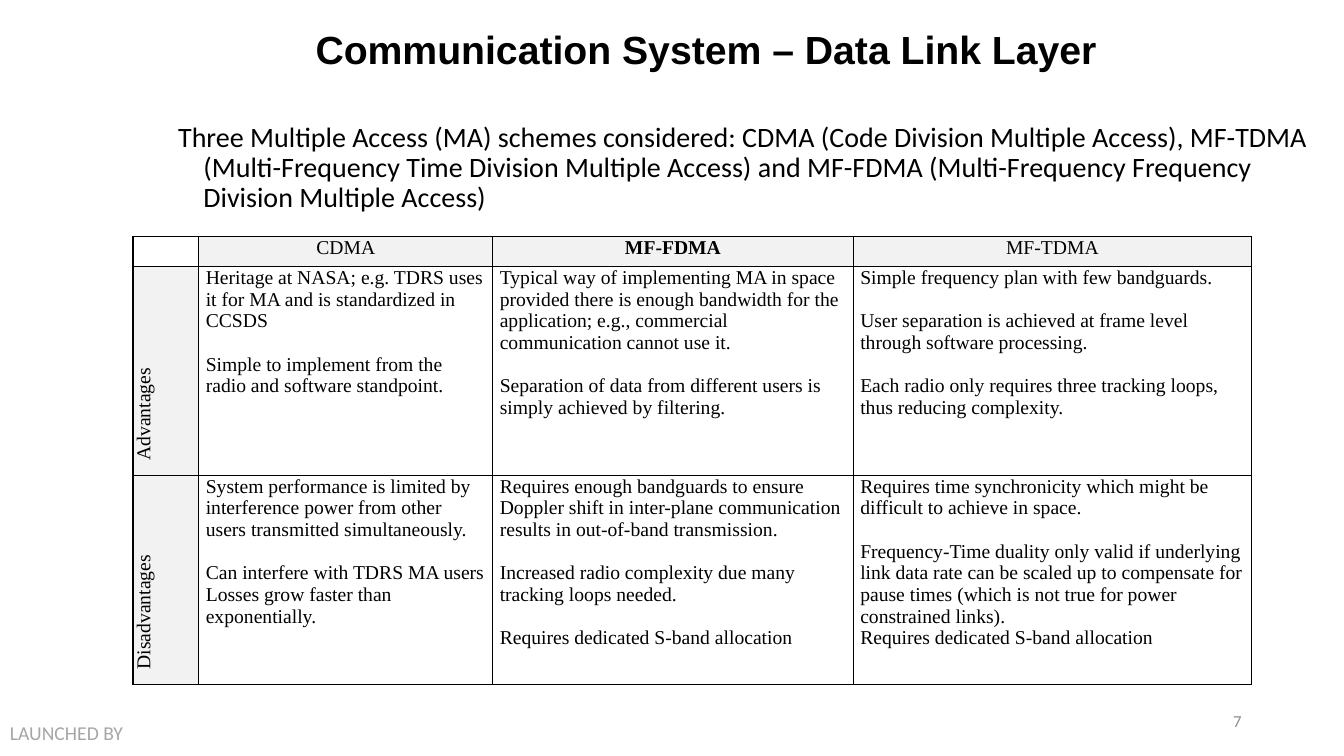
"""Build the data link layer slide comparing three multiple access schemes."""
from lxml import etree
from pptx import Presentation
from pptx import util as u
from pptx.dml.color import RGBColor
from pptx.enum import text
from pptx.oxml import ns

THEME = {
    "ink": "000000", "footer": "A6A6A6", "number": "8C8C8C", "label": "F2F2F2",
    "title_font": "Arial", "body_font": "Calibri", "table_font": "Times New Roman",
    "title": 28, "body": 20, "small": 14, "number_size": 12,
}
TITLE = "Communication System – Data Link Layer"
INTRO = ("Three Multiple Access (MA) schemes considered: CDMA (Code Division Multiple Access), "
         "MF-TDMA (Multi-Frequency Time Division Multiple Access) and MF-FDMA "
         "(Multi-Frequency Frequency Division Multiple Access)")
FOOTER = "LAUNCHED BY"
NUMBER = "7"
SCHEMES = ["CDMA", "MF-FDMA", "MF-TDMA"]
PREFERRED = "MF-FDMA"
# Each cell is a list of groups; a gap separates groups.
ROWS = {
    "Advantages": [
        [["Heritage at NASA; e.g. TDRS uses it for MA and is standardized in CCSDS"],
         ["Simple to implement from the radio and software standpoint."]],
        [["Typical way of implementing MA in space provided there is enough bandwidth for the "
          "application; e.g., commercial communication cannot use it."],
         ["Separation of data from different users is simply achieved by filtering."]],
        [["Simple frequency plan with few bandguards."],
         ["User separation is achieved at frame level through software processing."],
         ["Each radio only requires three tracking loops, thus reducing complexity."]],
    ],
    "Disadvantages": [
        [["System performance is limited by interference power from other users "
          "transmitted simultaneously."],
         ["Can interfere with TDRS MA users", "Losses grow faster than exponentially."]],
        [["Requires enough bandguards to ensure Doppler shift in inter-plane communication "
          "results in out-of-band transmission."],
         ["Increased radio complexity due many tracking loops needed."],
         ["Requires dedicated S-band allocation"]],
        [["Requires time synchronicity which might be difficult to achieve in space."],
         ["Frequency-Time duality only valid if underlying link data rate can be scaled up to "
          "compensate for pause times (which is not true for power constrained links).",
          "Requires dedicated S-band allocation"]],
    ],
}
TABLE_LEFT, TABLE_TOP = 95, 169
COLUMNS = [47, 210, 257.5, 284.5]
HEADER_HEIGHT, ROW_HEIGHT = 18.7, 149.2
GROUP_GAP = 15.5
CELL_INSET = 5.04
LABEL_INDENT = 5.76
HANG = 18
ALIGN = text.PP_ALIGN


def add_span(para, words, font, size, color="ink", bold=False):
    span = para.add_run()
    span.text = words
    span.font.name = THEME[font]
    span.font.size = u.Pt(THEME[size])
    span.font.bold = bold
    span.font.color.rgb = RGBColor.from_string(THEME[color])


def indent(para, left, first=0):
    properties = para._p.get_or_add_pPr()
    properties.set("marL", str(u.Pt(left)))
    properties.set("indent", str(u.Pt(first)))


def add_box(page, bounds, words, font, size, color="ink", bold=False,
            align=ALIGN.LEFT, anchor=text.MSO_ANCHOR.TOP, spacing=None):
    box = page.shapes.add_textbox(*map(u.Pt, bounds))
    box.text_frame.word_wrap = True
    box.text_frame.vertical_anchor = anchor
    para = box.text_frame.paragraphs[0]
    para.alignment = align
    para.line_spacing = spacing
    add_span(para, words, font, size, color, bold)
    return para


def style_cell(cell, shaded):
    cell.margin_left = cell.margin_right = u.Pt(CELL_INSET)
    cell.margin_top = cell.margin_bottom = 0
    if shaded:
        cell.fill.solid()
        cell.fill.fore_color.rgb = RGBColor.from_string(THEME["label"])
    else:
        cell.fill.background()
    properties = cell._tc.get_or_add_tcPr()
    for place, side in enumerate(("lnL", "lnR", "lnT", "lnB")):
        line = etree.Element(ns.qn("a:" + side), w=str(u.Pt(1)))
        fill = etree.SubElement(line, ns.qn("a:solidFill"))
        etree.SubElement(fill, ns.qn("a:srgbClr"), val=THEME["ink"])
        properties.insert(place, line)


def write_cell(cell, groups, align=ALIGN.LEFT, bold=False):
    lines = [(words, GROUP_GAP if g and not i else 0)
             for g, group in enumerate(groups) for i, words in enumerate(group)]
    for i, (words, gap) in enumerate(lines):
        para = cell.text_frame.add_paragraph() if i else cell.text_frame.paragraphs[0]
        para.alignment = align
        if gap:
            para.space_before = u.Pt(gap)
        add_span(para, words, "table_font", "small", bold=bold)


def add_comparison(page):
    heights = [HEADER_HEIGHT] + [ROW_HEIGHT] * len(ROWS)
    frame = page.shapes.add_table(len(heights), len(COLUMNS), u.Pt(TABLE_LEFT), u.Pt(TABLE_TOP),
                                  u.Pt(sum(COLUMNS)), u.Pt(sum(heights)))
    table = frame.table
    table.first_row = table.horz_banding = False
    for column, width in zip(table.columns, COLUMNS):
        column.width = u.Pt(width)
    for row, height in zip(table.rows, heights):
        row.height = u.Pt(height)
    for r in range(len(heights)):
        for c in range(len(COLUMNS)):
            style_cell(table.cell(r, c), (r == 0) != (c == 0))
    for c, scheme in enumerate(SCHEMES, 1):
        write_cell(table.cell(0, c), [[scheme]], ALIGN.CENTER, scheme == PREFERRED)
    for r, (label, cells) in enumerate(ROWS.items(), 1):
        side = table.cell(r, 0)
        side._tc.get_or_add_tcPr().set("vert", "vert270")
        write_cell(side, [[label]], ALIGN.JUSTIFY)
        indent(side.text_frame.paragraphs[0], LABEL_INDENT)
        for c, groups in enumerate(cells, 1):
            write_cell(table.cell(r, c), groups)


def main():
    deck = Presentation()
    deck.slide_width, deck.slide_height = u.Pt(960), u.Pt(540)
    page = deck.slides.add_slide(deck.slide_layouts[6])
    middle = text.MSO_ANCHOR.MIDDLE
    add_box(page, (0, 511.2, 101.5, 24.5), FOOTER, "body_font", "small", "footer")
    add_box(page, (678, 500.4, 216, 28.8), NUMBER, "body_font", "number_size", "number",
            align=ALIGN.RIGHT, anchor=middle)
    add_box(page, (146, 15, 716.5, 44.6), TITLE, "title_font", "title", bold=True,
            align=ALIGN.CENTER, anchor=middle, spacing=0.9)
    intro = add_box(page, (120.2, 84.2, 839.5, 145.4), INTRO, "body_font", "body", spacing=0.9)
    indent(intro, HANG, -HANG)
    add_comparison(page)
    deck.save("out.pptx")


if __name__ == "__main__":
    main()
